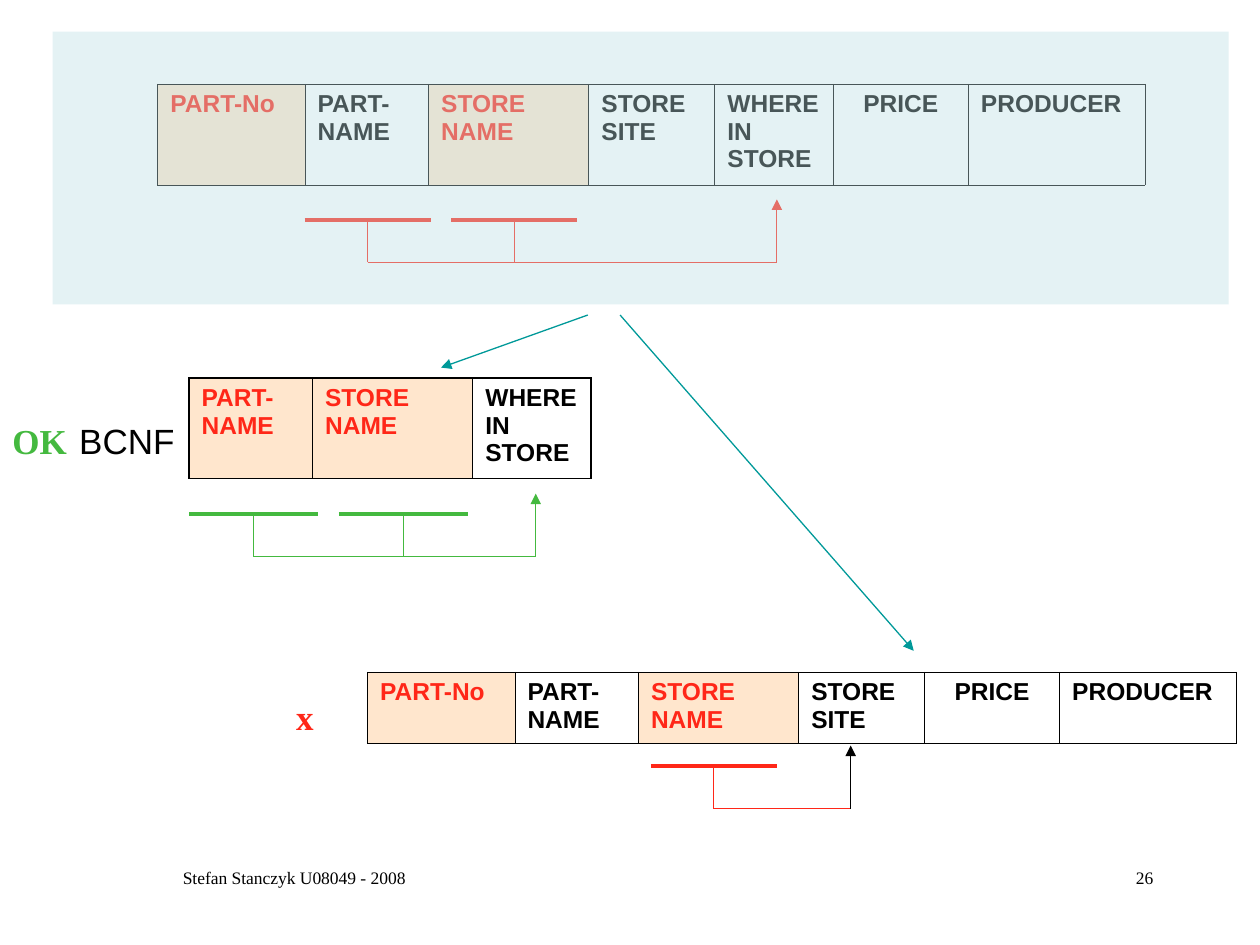
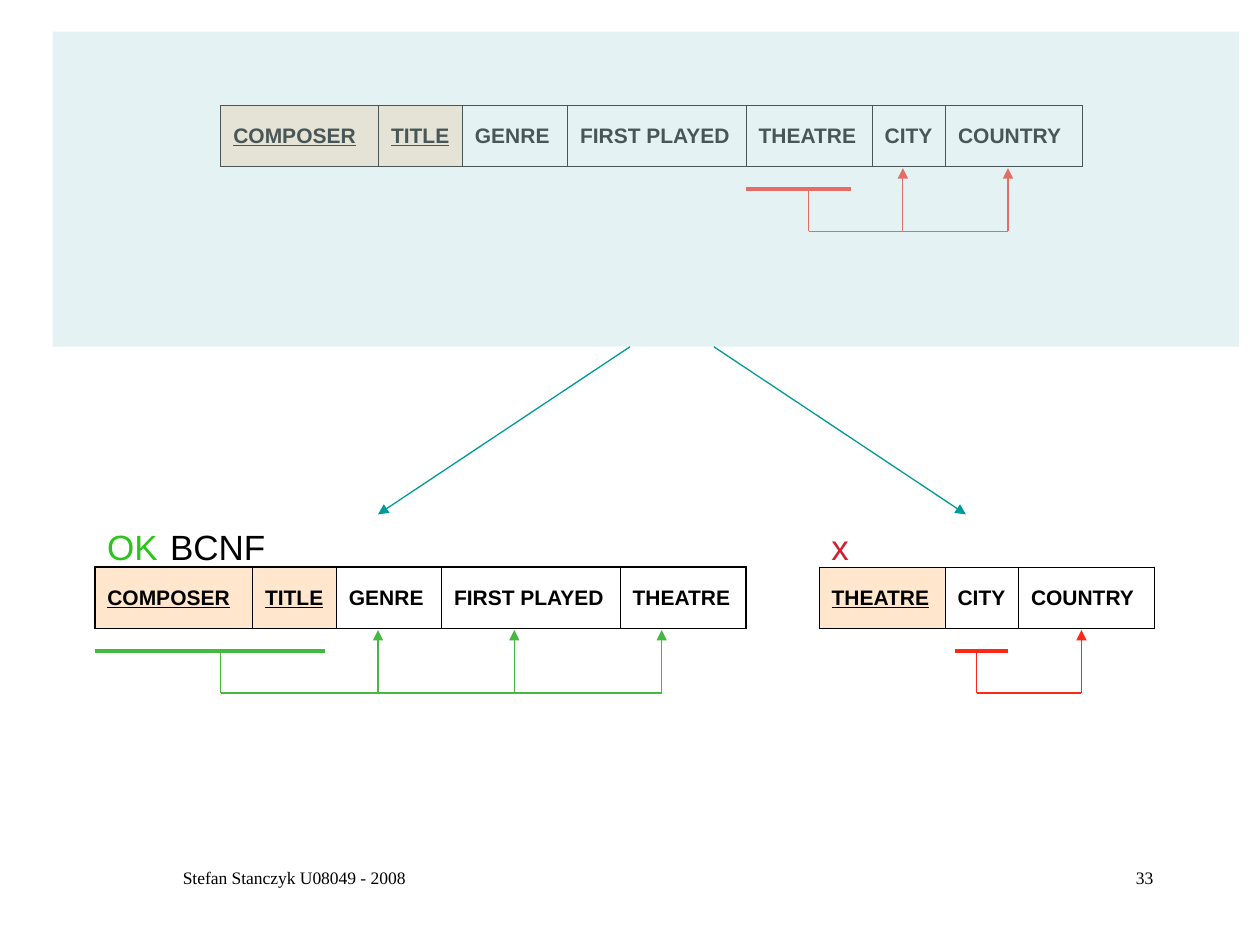
from lxml import etree
from pptx import Presentation
from pptx.dml.color import RGBColor
from pptx.enum.shapes import MSO_CONNECTOR, MSO_SHAPE
from pptx.enum.text import MSO_ANCHOR, PP_ALIGN
from pptx.oxml import parse_xml
from pptx.oxml.ns import nsdecls, qn
from pptx.util import Cm, Pt

STRAIGHT = MSO_CONNECTOR.STRAIGHT
RECTANGLE = MSO_SHAPE.RECTANGLE
TOP, MIDDLE = MSO_ANCHOR.TOP, MSO_ANCHOR.MIDDLE
LEFT, CENTER, RIGHT = PP_ALIGN.LEFT, PP_ALIGN.CENTER, PP_ALIGN.RIGHT

COLORS = {
    "black": "000000", "red": "FF2718", "green": "44B93F", "teal": "009999",
    "key": "FFE6CD", "veil": "BBE0E3", "bright green": "2AC41A", "crimson": "D51E34",
}
SANS, SERIF = "Arial", "Times New Roman"
THIN, THICK = 0.45, 1.08
FINE, BOLD = 0.75, 2.25
STEM_HEIGHT, ARROW_HEIGHT = 0.85, 1.27
VEIL_OPACITY = 39000
FOOTER_TOP, FOOTER_HEIGHT = 17.36, 1.27

WIDTHS = {
    "PART-No": 2.97, "PART-NAME": 2.49, "STORE NAME": 3.23, "STORE SITE": 2.54,
    "WHERE IN STORE": 2.39, "PRICE": 2.72, "PRODUCER": 3.56,
    "COMPOSER": 3.18, "TITLE": 1.69, "GENRE": 2.12, "FIRST PLAYED": 3.6,
    "THEATRE": 2.54, "CITY": 1.48, "COUNTRY": 2.75,
}

BCNF = ("BCNF", SANS, 20, "black", False)
decompositions = [
    {
        "number": "26",
        "anchor": TOP,
        "size": 14,
        "key format": {"color": "red", "underline": False},
        "veil": (1.06, 0.64, 23.71, 5.5),
        "relations": [
            (3.18, 1.7, 2.03, False, ["PART-No", "STORE NAME"],
             ["PART-No", "PART-NAME", "STORE NAME", "STORE SITE",
              "WHERE IN STORE", "PRICE", "PRODUCER"]),
            (3.81, 7.62, 2.03, True, ["PART-NAME", "STORE NAME"],
             ["PART-NAME", "STORE NAME", "WHERE IN STORE"]),
            (7.41, 13.55, 1.43, False, ["PART-No", "STORE NAME"],
             ["PART-No", "PART-NAME", "STORE NAME", "STORE SITE", "PRICE", "PRODUCER"]),
        ],
        "dependencies": [
            (5.29, "red", "red", [(6.14, 8.68, 7.41), (9.1, 11.64, 10.37)], [15.66]),
            (11.22, "green", "green", [(3.81, 6.41, 5.11), (6.83, 9.44, 8.14)], [10.8]),
            (16.3, "red", "black", [(13.12, 15.66, 14.39)], [17.15]),
        ],
        "splits": [(11.85, 6.35, 8.89, 7.41), (12.5, 6.35, 18.42, 13.12)],
        "verdicts": [
            (0, 8.05, 4.5, 1.45, LEFT,
             [("OK", SERIF, 20, "green", True), (" ", SERIF, 28, "green", False), BCNF]),
            (5.72, 13.89, 1, 1.12, LEFT, [("x", SERIF, 20, "red", True)]),
        ],
    },
    {
        "number": "33",
        "anchor": MIDDLE,
        "size": 12,
        "key format": {"color": "black", "underline": True},
        "veil": (1.06, 0.64, 23.92, 6.35),
        "relations": [
            (4.45, 2.12, 1.24, False, ["COMPOSER", "TITLE"],
             ["COMPOSER", "TITLE", "GENRE", "FIRST PLAYED", "THEATRE", "CITY", "COUNTRY"]),
            (1.91, 11.43, 1.24, True, ["COMPOSER", "TITLE"],
             ["COMPOSER", "TITLE", "GENRE", "FIRST PLAYED", "THEATRE"]),
            (16.51, 11.43, 1.24, False, ["THEATRE"], ["THEATRE", "CITY", "COUNTRY"]),
        ],
        "dependencies": [
            (4.66, "red", "red", [(15.03, 17.15, 16.3)], [18.2, 20.32]),
            (13.97, "red", "red", [(19.26, 20.32, 19.69)], [21.8]),
            (13.97, "green", "green", [(1.91, 6.56, 4.45)], [7.62, 10.37, 13.34]),
        ],
        "splits": [(12.7, 6.99, 7.62, 10.37), (14.39, 6.99, 19.47, 10.37)],
        "verdicts": [
            (1.91, 10.19, 4.5, 1.45, LEFT,
             [("OK", SANS, 20, "bright green", False), (" ", SERIF, 28, "green", False), BCNF]),
            (16.51, 10.46, 1, 1.12, LEFT, [("x", SANS, 20, "crimson", False)]),
        ],
    },
]


def draw_line(slide, x1, y1, x2, y2, color, width=FINE, arrow=False):
    line = slide.shapes.add_connector(STRAIGHT, Cm(x1), Cm(y1), Cm(x2), Cm(y2))
    line.line.color.rgb = RGBColor.from_string(COLORS[color])
    line.line.width = Pt(width)
    if arrow:
        etree.SubElement(line.line._get_or_add_ln(), qn("a:tailEnd"), type="triangle")
    etree.SubElement(line._element.spPr, qn("a:effectLst"))


def write(paragraph, text, font, size, color, bold, underline=False):
    run = paragraph.add_run()
    run.text = text
    formats = {"name": font, "size": Pt(size), "bold": bold, "underline": underline}
    for attribute, value in formats.items():
        setattr(run.font, attribute, value)
    run.font.color.rgb = RGBColor.from_string(COLORS[color])


deck = Presentation()
deck.slide_width, deck.slide_height = Cm(25.4), Cm(19.05)

for content in decompositions:
    slide = deck.slides.add_slide(deck.slide_layouts[6])

    for left, top, height, outlined, keys, attributes in content["relations"]:
        total = sum(WIDTHS[name] for name in attributes)
        relation = slide.shapes.add_table(
            1, len(attributes), Cm(left), Cm(top), Cm(total), Cm(height)).table
        relation.first_row = relation.horz_banding = False
        outer = THICK if outlined else THIN
        for index, name in enumerate(attributes):
            relation.columns[index].width = Cm(WIDTHS[name])
            cell = relation.cell(0, index)
            cell.vertical_anchor = content["anchor"]
            paragraph = cell.text_frame.paragraphs[0]
            paragraph.alignment = CENTER if name == "PRICE" else LEFT
            if name in keys:
                cell.fill.solid()
                cell.fill.fore_color.rgb = RGBColor.from_string(COLORS["key"])
                key_format = content["key format"]
            else:
                cell.fill.background()
                key_format = {"color": "black"}
            write(paragraph, name, SANS, content["size"], bold=True, **key_format)
            borders = {
                "lnL": outer if index == 0 else THIN,
                "lnR": outer if index == len(attributes) - 1 else THIN,
                "lnT": outer,
                "lnB": outer,
            }
            for position, (side, width) in enumerate(borders.items()):
                cell._tc.get_or_add_tcPr().insert(position, parse_xml(
                    f'<a:{side} {nsdecls("a")} w="{Pt(width)}"><a:solidFill>'
                    f'<a:srgbClr val="{COLORS["black"]}"/></a:solidFill></a:{side}>'))

    for rail, color, arrow_color, determinants, dependents in content["dependencies"]:
        bar = rail - STEM_HEIGHT
        for start, end, stem in determinants:
            draw_line(slide, start, bar, end, bar, color, BOLD)
            draw_line(slide, stem, bar, stem, rail, color)
        draw_line(slide, determinants[0][2], rail, dependents[-1], rail, color)
        for x in dependents:
            draw_line(slide, x, rail, x, rail - ARROW_HEIGHT, arrow_color, arrow=True)

    veil = slide.shapes.add_shape(RECTANGLE, *map(Cm, content["veil"]))
    veil.shadow.inherit = False
    veil.line.fill.background()
    veil.fill.solid()
    veil.fill.fore_color.rgb = RGBColor.from_string(COLORS["veil"])
    tint = veil._element.spPr.find(".//" + qn("a:srgbClr"))
    etree.SubElement(tint, qn("a:alpha"), val=str(VEIL_OPACITY))

    for split in content["splits"]:
        draw_line(slide, *split, "teal", arrow=True)

    footers = [
        (1.91, FOOTER_TOP, 8.04, FOOTER_HEIGHT, CENTER,
         [("Stefan Stanczyk U08049 - 2008", SERIF, 10, "black", False)]),
        (18.2, FOOTER_TOP, 5.3, FOOTER_HEIGHT, RIGHT,
         [(content["number"], SERIF, 10, "black", False)]),
    ]
    for left, top, width, height, alignment, runs in content["verdicts"] + footers:
        label = slide.shapes.add_textbox(Cm(left), Cm(top), Cm(width), Cm(height)).text_frame
        label.word_wrap = True
        label.paragraphs[0].alignment = alignment
        for run in runs:
            write(label.paragraphs[0], *run)

deck.save("out.pptx")
